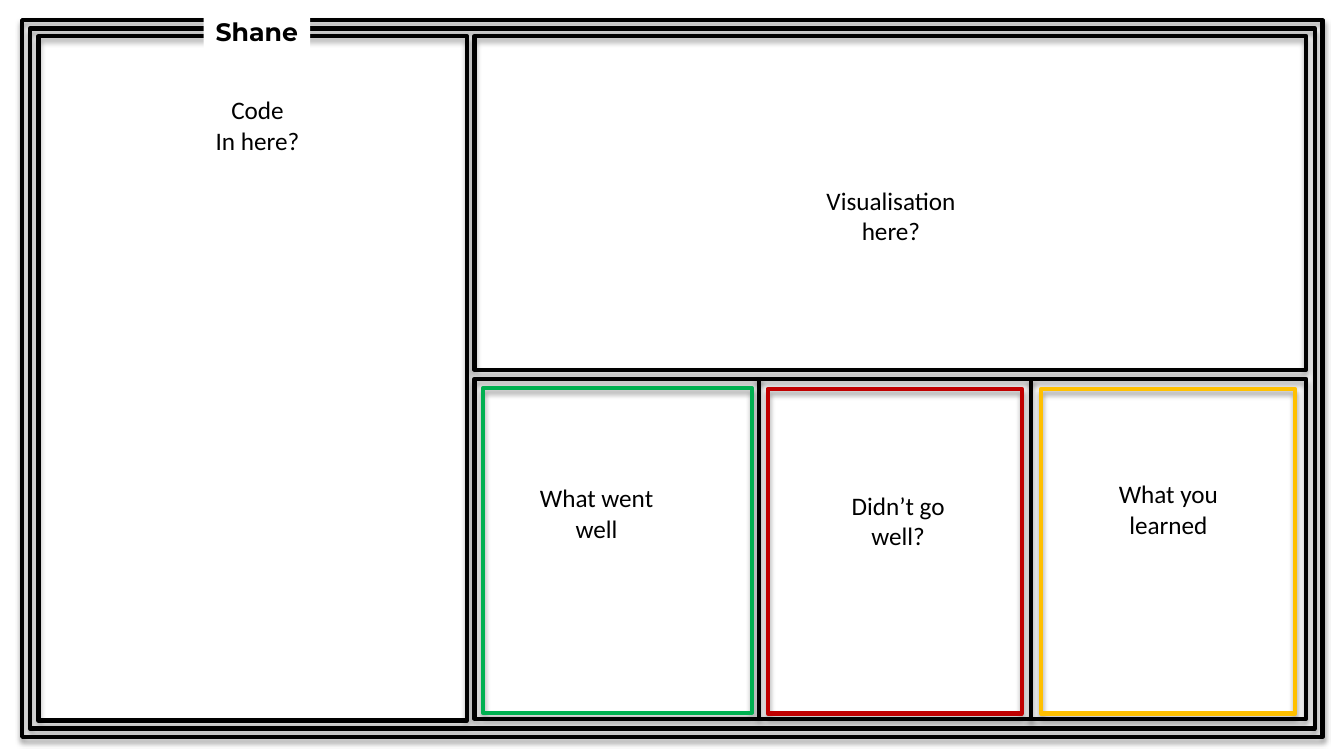
from collections import namedtuple

from lxml import etree
from pptx import Presentation
from pptx import util as u
from pptx.dml.color import RGBColor
from pptx.enum import shapes, text
from pptx.oxml import ns

Box = namedtuple("Box", "left top width height")

BLACK, WHITE = "000000", "FFFFFF"
GREEN, RED, AMBER = "00B050", "C00000", "FFC000"
LABEL_WIDTH, LABEL_HEIGHT = 4.17, 1.8


def colour(value):
    return RGBColor.from_string(value)


def lengths(values):
    return [u.Cm(value) for value in values]


def inside(box, left, top, width, height):
    return Box(box.left + left, box.top + top, width, height)


def inset(box, x, y):
    return inside(box, x, y, box.width - 2 * x, box.height - 2 * y)


def add_shadow(item):
    effects = etree.SubElement(item.element.spPr, ns.qn("a:effectLst"))
    shadow = etree.SubElement(
        effects, ns.qn("a:outerShdw"), blurRad=str(u.Pt(4)), dist=str(u.Pt(3)),
        dir="5400000", algn="t", rotWithShape="0")
    tint = etree.SubElement(shadow, ns.qn("a:srgbClr"), val=BLACK)
    etree.SubElement(tint, ns.qn("a:alpha"), val="40000")


def style_line(item, line):
    item.line.color.rgb = colour(line)
    item.line.width = u.Pt(3)
    add_shadow(item)


def add_frame(page, box, line=BLACK):
    frame = page.shapes.add_shape(shapes.MSO_SHAPE.RECTANGLE, *lengths(box))
    frame.fill.background()
    style_line(frame, line)


def add_divider(page, box, x, top, bottom):
    ends = lengths((box.left + x, box.top + top, box.left + x, box.top + bottom))
    style_line(page.shapes.add_connector(shapes.MSO_CONNECTOR.STRAIGHT, *ends), BLACK)


def write(item, wording, font="Calibri", bold=False, wrap=True):
    frame = item.text_frame
    frame.word_wrap = wrap
    frame.auto_size = text.MSO_AUTO_SIZE.SHAPE_TO_FIT_TEXT
    frame.text = wording
    for para in frame.paragraphs:
        para.alignment = text.PP_ALIGN.CENTER
        for span in para.runs:
            span.font.name = font
            span.font.size = u.Pt(18)
            span.font.bold = bold
            span.font.color.rgb = colour(BLACK)


def add_label(page, box, wording):
    write(page.shapes.add_textbox(*lengths(box)), wording)


def add_name_tab(page, box, name):
    tab = page.shapes.add_shape(shapes.MSO_SHAPE.RECTANGLE, *lengths(box))
    tab.fill.solid()
    tab.fill.fore_color.rgb = colour(WHITE)
    tab.line.fill.background()
    tab.shadow.inherit = False
    write(tab, name, font="Montserrat", bold=True, wrap=False)


def add_border(page, box):
    add_frame(page, box)
    add_frame(page, inset(box, 0.19, 0.21))


def add_code_panel(page, box):
    add_frame(page, box)
    add_name_tab(page, inside(box, 4.16, -0.63, 2.69, 1.02), "Shane")
    add_label(page, inside(box, 3.83, 1.35, 3.38, LABEL_HEIGHT), "Code\nIn here?")


def add_visual_panel(page, box):
    add_frame(page, box)
    add_label(page, inside(box, 8.41, 3.64, LABEL_WIDTH, LABEL_HEIGHT),
              "Visualisation here?")


def add_review_panel(page, box):
    add_frame(page, box)
    for x, top in ((7.17, -0.05), (14.02, 0)):
        add_divider(page, box, x, top, top + 8.58)
    cards = (
        ("What went well", GREEN, 0.21, 0.23, 6.78, 0.78, 2.26),
        ("Didn’t go well?", RED, 7.39, 0.25, 6.4, 1.2, 2.42),
        ("What you learned", AMBER, 14.28, 0.25, 6.4, 1.12, 2.14),
    )
    for wording, line, left, top, width, label_x, label_y in cards:
        card = inside(box, left, top, width, 8.18)
        add_frame(page, card, line)
        add_label(page, inside(card, label_x, label_y, LABEL_WIDTH, LABEL_HEIGHT),
                  wording)


def build():
    deck = Presentation()
    deck.slide_width, deck.slide_height = lengths((33.87, 19.05))
    page = deck.slides.add_slide(deck.slide_layouts[6])
    add_border(page, Box(0.56, 0.51, 32.77, 18.06))
    add_code_panel(page, Box(0.97, 0.91, 10.8, 17.25))
    add_visual_panel(page, Box(11.96, 0.91, 20.96, 8.41))
    add_review_panel(page, Box(11.96, 9.55, 20.96, 8.56))
    deck.save("out.pptx")


build()
